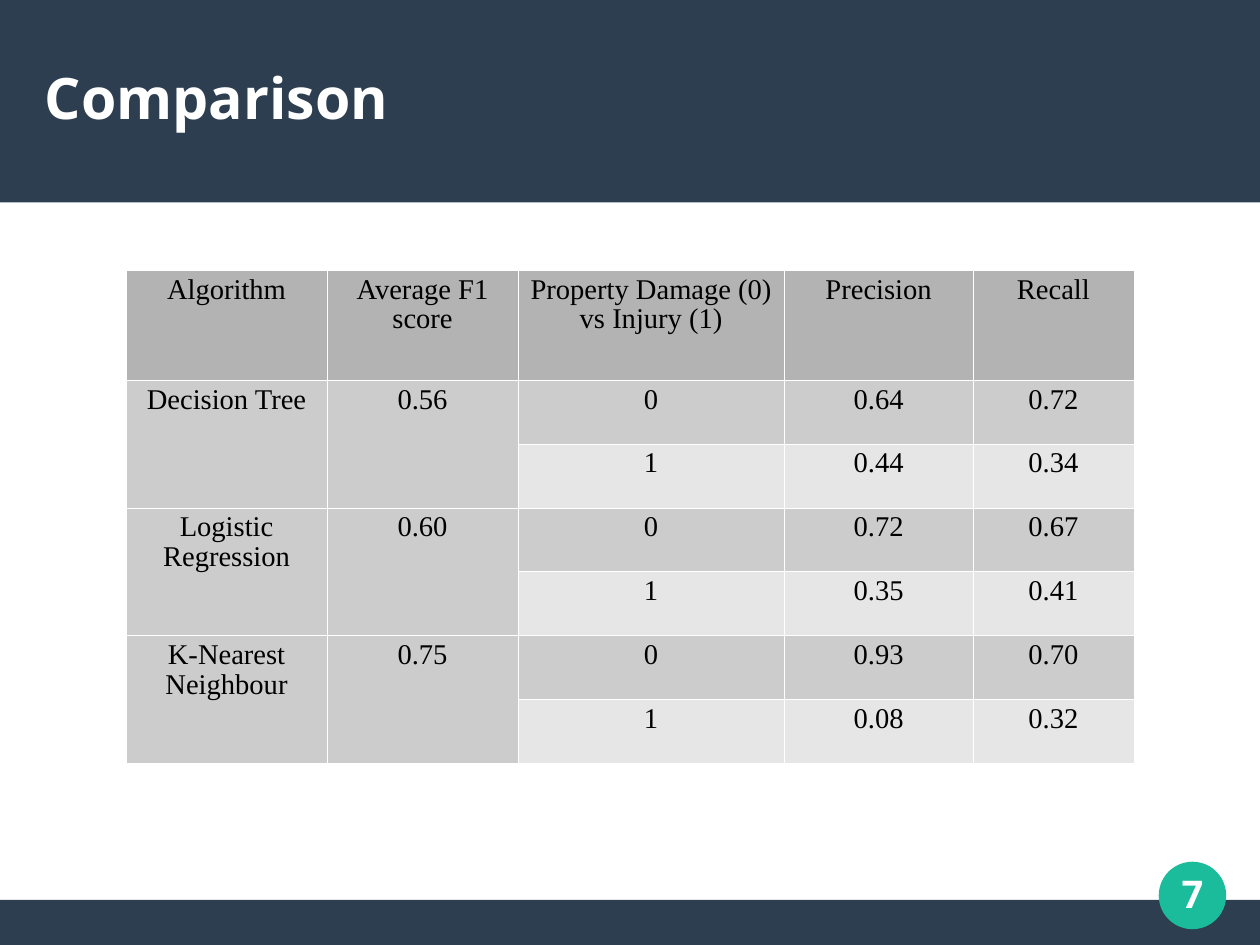
from lxml.etree import SubElement
from pptx import Presentation
from pptx.dml.color import RGBColor
from pptx.enum.shapes import MSO_SHAPE
from pptx.enum.text import MSO_ANCHOR, PP_ALIGN
from pptx.oxml.ns import qn
from pptx.util import Cm, Pt

NAVY, TEAL, WHITE, BLACK = "2C3E50", "1ABC9C", "FFFFFF", "000000"
HEADER_GREY, DARK_GREY, LIGHT_GREY = "B3B3B3", "CCCCCC", "E6E6E6"

TITLE_FONT = {"name": "Noto Sans", "size": Pt(36), "bold": True}
NUMBER_FONT = {"name": "Noto Sans", "size": Pt(24), "bold": True}
TABLE_FONT = {"name": "Times New Roman", "size": Pt(18), "bold": False}

COLUMN_WIDTHS = (4.47, 4.24, 5.92, 4.19, 3.58)
HEADER_HEIGHT, ROW_HEIGHT = 2.44, 1.42
HEADINGS = ("Algorithm", "Average F1 score", "Property Damage (0) vs Injury (1)",
            "Precision", "Recall")
# Algorithm, average F1 score, then (precision, recall) for classes 0 and 1
RESULTS = (
    ("Decision Tree", "0.56", (("0.64", "0.72"), ("0.44", "0.34"))),
    ("Logistic Regression", "0.60", (("0.72", "0.67"), ("0.35", "0.41"))),
    ("K-Nearest Neighbour", "0.75", (("0.93", "0.70"), ("0.08", "0.32"))),
)


def color(value):
    return RGBColor.from_string(value)


def paint(target, value):
    target.fill.solid()
    target.fill.fore_color.rgb = color(value)


def write(frame, text, font, text_color, align):
    para = frame.paragraphs[0]
    para.alignment = align
    para.line_spacing = 0.93
    span = para.add_run()
    span.text = text
    for name, value in font.items():
        setattr(span.font, name, value)
    span.font.color.rgb = color(text_color)


def add_block(page, kind, left, top, width, height, fill):
    block = page.shapes.add_shape(kind, Cm(left), Cm(top), Cm(width), Cm(height))
    block.shadow.inherit = False
    block.line.fill.background()
    paint(block, fill)


def add_label(page, left, top, width, height, text, font, align, top_inset=0):
    box = page.shapes.add_textbox(Cm(left), Cm(top), Cm(width), Cm(height))
    frame = box.text_frame
    settings = {"word_wrap": True, "vertical_anchor": MSO_ANCHOR.MIDDLE,
                "margin_left": 0, "margin_right": 0,
                "margin_top": Cm(top_inset), "margin_bottom": 0}
    for name, value in settings.items():
        setattr(frame, name, value)
    write(frame, text, font, WHITE, align)


def add_borders(cell):
    properties = cell._tc.get_or_add_tcPr()
    for side in ("a:lnL", "a:lnR", "a:lnT", "a:lnB"):
        line = SubElement(properties, qn(side), w=str(Pt(0.06)))
        fill = SubElement(line, qn("a:solidFill"))
        SubElement(fill, qn("a:srgbClr"), val=WHITE)


def fill_cell(cell, text, fill):
    add_borders(cell)
    paint(cell, fill)
    if text:
        write(cell.text_frame, text, TABLE_FONT, BLACK, PP_ALIGN.CENTER)


def table_rows():
    """Return the texts and the cell fills of every row."""
    rows = [(HEADINGS, [HEADER_GREY] * 5)]
    for algorithm, score, classes in RESULTS:
        for label, measures in enumerate(classes):
            names = ("", "") if label else (algorithm, score)
            shade = LIGHT_GREY if label else DARK_GREY
            rows.append(((*names, str(label), *measures),
                         [DARK_GREY] * 2 + [shade] * 3))
    return rows


def add_comparison_table(page, left, top):
    rows = table_rows()
    heights = [HEADER_HEIGHT] + [ROW_HEIGHT] * (len(rows) - 1)
    table = page.shapes.add_table(
        len(rows), len(COLUMN_WIDTHS), Cm(left), Cm(top),
        Cm(sum(COLUMN_WIDTHS)), Cm(sum(heights))).table
    table.first_row = table.horz_banding = False
    for column, width in zip(table.columns, COLUMN_WIDTHS):
        column.width = Cm(width)
    for row, height, (texts, fills) in zip(table.rows, heights, rows):
        row.height = Cm(height)
        for cell, text, fill in zip(row.cells, texts, fills):
            fill_cell(cell, text, fill)
    for first in range(1, len(rows), 2):
        for column in range(2):
            table.cell(first, column).merge(table.cell(first + 1, column))


def main():
    deck = Presentation()
    deck.slide_width, deck.slide_height = Cm(28), Cm(21)
    page = deck.slides.add_slide(deck.slide_layouts[6])

    add_block(page, MSO_SHAPE.RECTANGLE, 0, 20, 28, 1, NAVY)
    add_block(page, MSO_SHAPE.RECTANGLE, 0, 0, 28, 4.5, NAVY)
    add_block(page, MSO_SHAPE.OVAL, 25.75, 19.15, 1.5, 1.5, TEAL)
    add_label(page, 1, 0.84, 26, 2.67, "Comparison", TITLE_FONT, PP_ALIGN.LEFT,
              top_inset=0.1)
    add_comparison_table(page, 2.8, 6)
    add_label(page, 25.5, 18.9, 2, 2, "7", NUMBER_FONT, PP_ALIGN.CENTER)
    deck.save("out.pptx")


if __name__ == "__main__":
    main()
